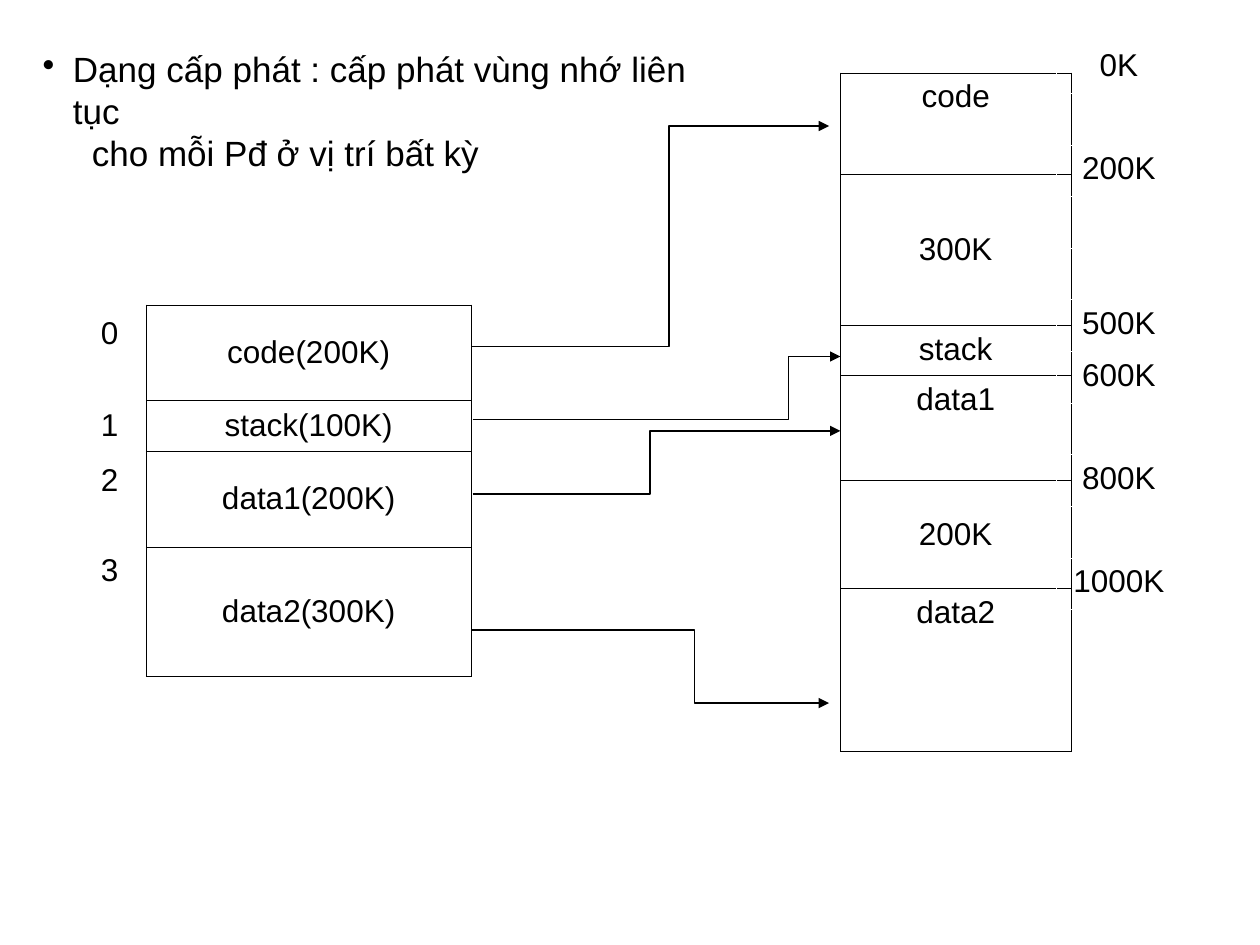
import pptx
import pptx.util
import pptx.dml.color
import pptx.enum.text
import pptx.oxml
import pptx.oxml.ns
import lxml.etree

Inches = pptx.util.Inches
Pt = pptx.util.Pt
ALIGN = pptx.enum.text.PP_ALIGN
ANCHOR = pptx.enum.text.MSO_ANCHOR
qn = pptx.oxml.ns.qn
BLACK = pptx.dml.color.RGBColor(0, 0, 0)
WHITE = pptx.dml.color.RGBColor(255, 255, 255)
NO_STYLE = "{2D5ABB26-0587-4C30-8999-92F81FD0307C}"


def write(p, text, size=18, align=ALIGN.CENTER, color=BLACK):
    p.alignment = align
    r = p.add_run()
    r.text = text
    r.font.size = Pt(size)
    r.font.name = "Arial"
    r.font.color.rgb = color


def format_cell(cell, sides="", color=BLACK, anchor=ANCHOR.TOP):
    cell.vertical_anchor = anchor
    cell.margin_left = cell.margin_right = Inches(0.1)
    cell.margin_top = cell.margin_bottom = Inches(0.05)
    tcPr = cell._tc.get_or_add_tcPr()
    for side in "LRTB":
        if side in sides:
            ln = lxml.etree.SubElement(tcPr, qn("a:ln" + side), w=str(Pt(0.45)))
            fill = lxml.etree.SubElement(ln, qn("a:solidFill"))
            lxml.etree.SubElement(fill, qn("a:srgbClr"), val=str(color))
    cell.fill.background()


prs = pptx.Presentation()
prs.slide_width = Inches(10)
prs.slide_height = Inches(7.5)
s = prs.slides.add_slide(prs.slide_layouts[6])

tf = s.shapes.add_textbox(Inches(0.24), Inches(0.33), Inches(5.61), Inches(0.77)).text_frame
tf.word_wrap = True
p = tf.paragraphs[0]
pPr = p._p.get_or_add_pPr()
pPr.set("marL", str(Inches(0.24)))
pPr.set("indent", str(-Inches(0.24)))
lxml.etree.SubElement(pPr, qn("a:buChar"), char="•")
write(p, "Dạng cấp phát : cấp phát vùng nhớ liên tục", size=20, align=ALIGN.LEFT)
p = tf.add_paragraph()
p._p.get_or_add_pPr().set("marL", str(Inches(0.39)))
write(p, "cho mỗi Pđ ở vị trí bất kỳ", size=20, align=ALIGN.LEFT)

tables = []
for left, top, widths, heights in [
    (6.67, 0.58, [1.83, 1], [0.4] * 7 + [0.43] * 6),
    (0.58, 2.42, [0.58, 2.58], [0.76, 0.4, 0.76, 1.03]),
    (8.38, 0.33, [1], [0.41] * 11),
]:
    frame = s.shapes.add_table(len(heights), len(widths), Inches(left), Inches(top),
                               Inches(sum(widths)), Inches(sum(heights)))
    tbl = frame.table
    tbl.first_row = tbl.horz_banding = False
    tbl._tbl.tblPr.find(qn("a:tableStyleId")).text = NO_STYLE
    for col, width in zip(tbl.columns, widths):
        col.width = Inches(width)
    for row, height in zip(tbl.rows, heights):
        row.height = Inches(height)
    tables.append(tbl)
memory, segments, addresses = tables

row = 0
for text, span, anchor in [
    ("code", 2, ANCHOR.TOP),
    ("300K", 3, ANCHOR.MIDDLE),
    ("stack", 1, ANCHOR.TOP),
    ("data1", 2, ANCHOR.TOP),
    ("200K", 2, ANCHOR.MIDDLE),
    ("data2", 3, ANCHOR.TOP),
]:
    last = row + span - 1
    cell = memory.cell(row, 0)
    if span > 1:
        cell.merge(memory.cell(last, 0))
    format_cell(cell, "LRTB", anchor=anchor)
    write(cell.text_frame.paragraphs[0], text)
    for i in range(row + 1, last + 1):
        format_cell(memory.cell(i, 0), "LRB" if i == last else "LR")
    for i in range(row, last + 1):
        format_cell(memory.cell(i, 1), "L")
    row += span

for i, text in enumerate(["code(200K)", "stack(100K)", "data1(200K)", "data2(300K)"]):
    number, name = segments.cell(i, 0), segments.cell(i, 1)
    format_cell(number, "R", anchor=ANCHOR.MIDDLE if i == 1 else ANCHOR.TOP)
    if i in (0, 2):
        number.margin_top = Inches(0.09)
    write(number.text_frame.paragraphs[0], str(i))
    format_cell(name, "LRTB", anchor=ANCHOR.MIDDLE)
    write(name.text_frame.paragraphs[0], text)

labels = {0: "0K", 2: "200K", 5: "500K", 6: "600K", 8: "800K", 10: "1000K"}
for i in range(11):
    cell = addresses.cell(i, 0)
    format_cell(cell, "LRTB", color=WHITE)
    if i in labels:
        write(cell.text_frame.paragraphs[0], labels[i])
    if i == 10:
        cell.margin_left = cell.margin_right = Inches(0.1)

for y1, x2, y2, x3 in [
    (5, 5.51, 5.58, 6.58),
    (3.33, 6.26, 2.83, 6.67),
    (2.75, 5.31, 1, 6.58),
    (3.92, 5.16, 3.42, 6.67),
]:
    fb = s.shapes.build_freeform(Inches(3.75), Inches(y1))
    fb.add_line_segments([(Inches(x), Inches(y)) for x, y in [(x2, y1), (x2, y2), (x3, y2)]],
                         close=False)
    sp = fb.convert_to_shape()
    sp.shadow.inherit = False
    sp.fill.background()
    sp.line.color.rgb = BLACK
    sp.line.width = Pt(0.75)
    lxml.etree.SubElement(sp.line._get_or_add_ln(), qn("a:tailEnd"), type="triangle")

prs.save("out.pptx")
